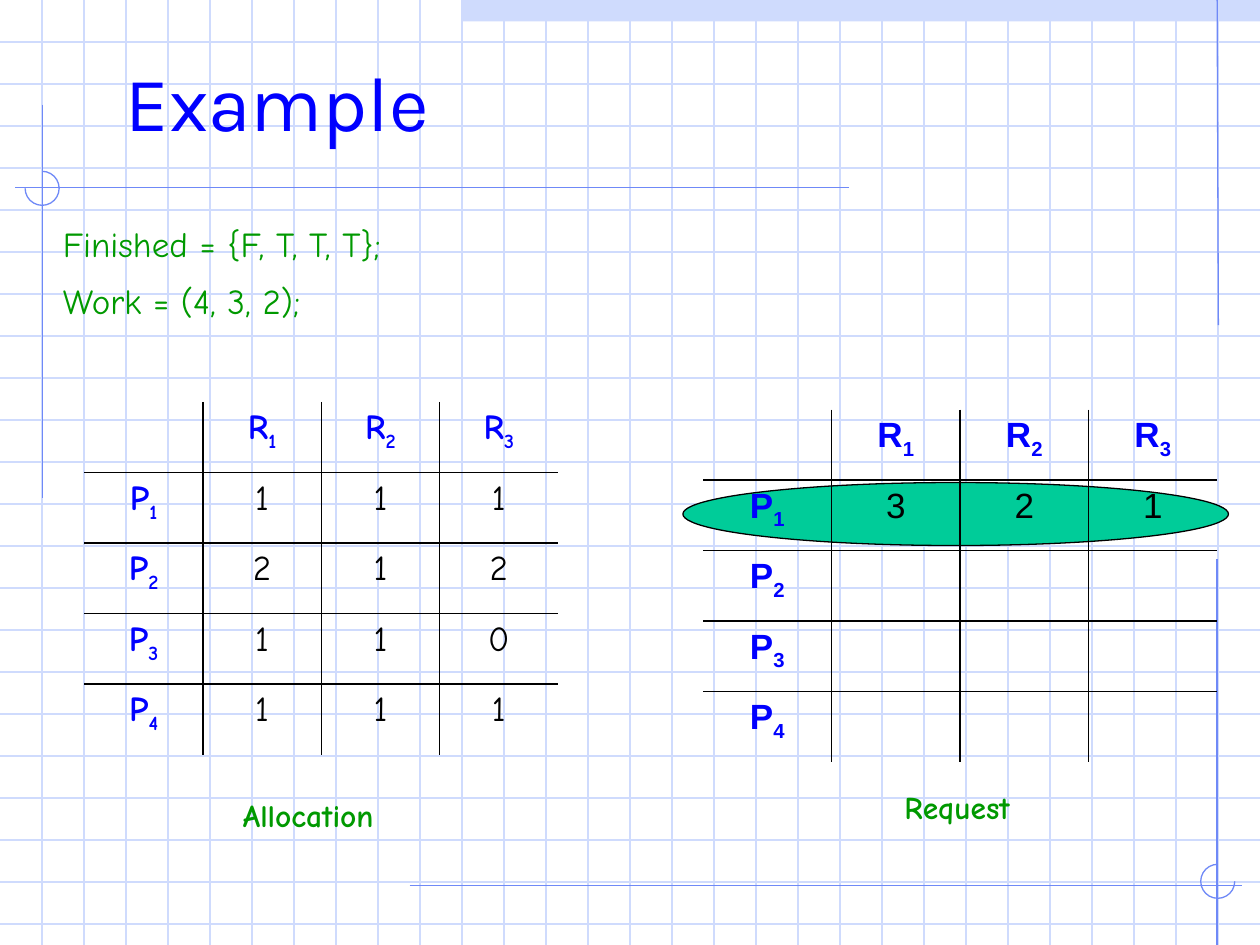
import pptx
import pptx.dml.color
import pptx.enum.shapes
import pptx.enum.text
import pptx.oxml.ns
import pptx.util
from lxml import etree

Inches = pptx.util.Inches
Pt = pptx.util.Pt
RGBColor = pptx.dml.color.RGBColor
MSO_SHAPE = pptx.enum.shapes.MSO_SHAPE
MSO_ANCHOR = pptx.enum.text.MSO_ANCHOR
PP_ALIGN = pptx.enum.text.PP_ALIGN
qn = pptx.oxml.ns.qn

PALE = RGBColor(0xCF, 0xDB, 0xFD)
RULE = RGBColor(0x6F, 0x89, 0xF7)
TEAL = RGBColor(0x00, 0xCC, 0x99)
BLUE = RGBColor(0x00, 0x00, 0xFF)
GREEN = RGBColor(0x00, 0x99, 0x00)
BLACK = RGBColor(0x00, 0x00, 0x00)

HAND = "Comic Neue"
RESOURCES = 3
PROCESSES = 4
ALLOCATION = [["1", "1", "1"], ["2", "1", "2"], ["1", "1", "0"], ["1", "1", "1"]]
REQUEST = [["3", "2", "1"]]


def add_line(s, x1, y1, x2, y2, color):
    line = s.shapes.add_connector(
        pptx.enum.shapes.MSO_CONNECTOR.STRAIGHT,
        Inches(x1), Inches(y1), Inches(x2), Inches(y2))
    line.line.color.rgb = color
    line.line.width = Pt(0.75)
    etree.SubElement(line._element.spPr, qn("a:effectLst"))


def add_preset(s, kind, x, y, w, h, fill=None, line=None):
    sp = s.shapes.add_shape(kind, Inches(x), Inches(y), Inches(w), Inches(h))
    sp.shadow.inherit = False
    if fill is None:
        sp.fill.background()
    else:
        sp.fill.solid()
        sp.fill.fore_color.rgb = fill
    if line is None:
        sp.line.fill.background()
    else:
        sp.line.color.rgb = line
        sp.line.width = Pt(0.75)
    return sp


def add_ring(s, x, y, start, end):
    arc = add_preset(s, MSO_SHAPE.ARC, x, y, 0.27, 0.27, line=RULE)
    for i, degrees in enumerate((start, end)):
        arc.adjustments[i] = degrees * 0.6


def write(p, text, size=20, font=HAND, color=BLACK, bold=False,
          subscript=None, align=PP_ALIGN.LEFT, before=0, spacing=None):
    p.alignment = align
    p.space_before = Pt(before)
    p.line_spacing = spacing
    for part in filter(None, (text, subscript)):
        r = p.add_run()
        r.text = part
        r.font.size = Pt(size)
        r.font.name = font
        r.font.color.rgb = color
        r.font.bold = bold
    if subscript:
        r.font._element.set("baseline", "-25000")


def add_text(s, x, y, w, h, lines, inset=0, anchor=MSO_ANCHOR.TOP, **style):
    tf = s.shapes.add_textbox(Inches(x), Inches(y), Inches(w), Inches(h)).text_frame
    tf.word_wrap = True
    tf.vertical_anchor = anchor
    tf.margin_left = tf.margin_right = Inches(inset)
    tf.margin_top = tf.margin_bottom = Inches(inset / 2)
    for i, text in enumerate(lines):
        p = tf.add_paragraph() if i else tf.paragraphs[0]
        write(p, text, **style)


def set_border(cell, side, visible):
    ln = etree.SubElement(cell._tc.get_or_add_tcPr(), qn("a:" + side), w=str(Pt(1)))
    if visible:
        fill = etree.SubElement(ln, qn("a:solidFill"))
        etree.SubElement(fill, qn("a:srgbClr"), val=str(BLACK))
    else:
        etree.SubElement(ln, qn("a:noFill"))


def add_matrix(s, x, y, col_width, row_height, values, font):
    rows, cols = PROCESSES + 1, RESOURCES + 1
    table = s.shapes.add_table(
        rows, cols, Inches(x), Inches(y),
        Inches(col_width * cols), Inches(row_height * rows)).table
    table.first_row = table.horz_banding = False
    label = dict(color=BLUE, bold=True)
    for i in range(rows):
        for j in range(cols):
            cell = table.cell(i, j)
            for side, inner in (("lnL", j > 0), ("lnR", j < cols - 1),
                                ("lnT", i > 0), ("lnB", i < rows - 1)):
                set_border(cell, side, inner)
            cell.fill.background()
            p = cell.text_frame.paragraphs[0]
            style = dict(font=font, align=PP_ALIGN.CENTER, before=4)
            if i == 0 and j > 0:
                write(p, "R", subscript=str(j), **label, **style)
            elif i > 0 and j == 0:
                write(p, "P", subscript=str(i), **label, **style)
            elif j > 0 and i <= len(values):
                write(p, values[i - 1][j - 1], **style)


def add_background(s):
    add_preset(s, MSO_SHAPE.RECTANGLE, 3.66, 0, 6.34, 0.17, fill=PALE)
    for i in range(1, 23):
        add_line(s, 0, i / 3, 10, i / 3, PALE)
    for i in range(1, 30):
        add_line(s, i / 3, 0, i / 3, 7.5, PALE)
    add_line(s, 9.66, 0, 9.67, 2.58, RULE)
    add_line(s, 0.34, 0.83, 0.34, 3.95, RULE)
    add_line(s, 6.74, 1.49, 0.12, 1.49, RULE)
    add_ring(s, 0.2, 1.36, 270, 180)
    add_line(s, 3.25, 7.03, 9.86, 7.03, RULE)
    add_line(s, 9.66, 4.44, 9.66, 7.59, RULE)
    add_ring(s, 9.53, 6.86, 0, 270)


def main():
    prs = pptx.Presentation()
    prs.slide_width, prs.slide_height = Inches(10), Inches(7.5)
    s = prs.slides.add_slide(prs.slide_layouts[6])
    add_background(s)
    add_preset(s, MSO_SHAPE.OVAL, 5.42, 3.83, 4.33, 0.5, fill=TEAL, line=BLACK)
    add_text(s, 1, 0, 8.5, 1.57, ["Example"], anchor=MSO_ANCHOR.MIDDLE,
             size=44, font="Karla", color=BLUE, spacing=1.04)
    add_text(s, 0.5, 1.75, 9, 4.95, ["Finished = {F, T, T, T};", "Work = (4, 3, 2);"],
             color=GREEN, before=8, spacing=1.04)
    add_matrix(s, 0.67, 3.19, 0.94, 0.56, ALLOCATION, HAND)
    add_matrix(s, 5.58, 3.25, 1.02, 0.56, REQUEST, "Arial")
    for text, x, y, w in (("Allocation", 1.83, 6.17, 1.37), ("Request", 7.08, 6.1, 1.14)):
        add_text(s, x, y, w, 0.4, [text], inset=0.1,
                 size=18, color=GREEN, bold=True, spacing=1.34)
    prs.save("out.pptx")


if __name__ == "__main__":
    main()
